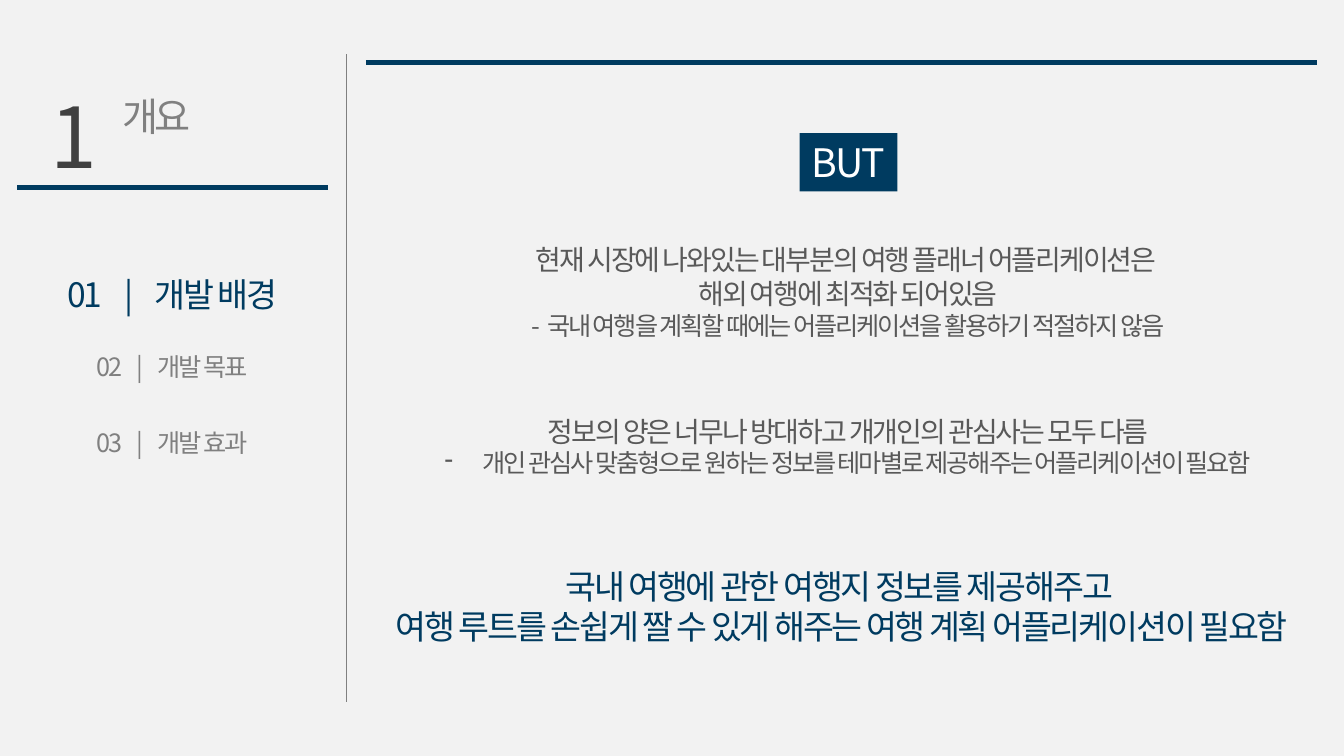
import pptx
import pptx.dml.color
import pptx.enum.shapes
import pptx.enum.text
import pptx.oxml
import pptx.oxml.ns
import pptx.util
from pptx.util import Inches

NAVY, GRAY, DARK, TEXT, WHITE = "003B60", "808080", "404040", "595959", "FFFFFF"
ALIGN = pptx.enum.text.PP_ALIGN
ANCHOR = pptx.enum.text.MSO_ANCHOR
FIT = pptx.enum.text.MSO_AUTO_SIZE


def color(value):
    return pptx.dml.color.RGBColor.from_string(value)


def assign(target, values):
    for name, value in values.items():
        setattr(target, name, value)


def add_xml(parent, tag):
    element = pptx.oxml.parse_xml(f'<a:{tag} {pptx.oxml.ns.nsdecls("a")}/>')
    parent.append(element)
    return element


class SlideBuilder:
    font = "Noto Sans CJK KR"

    def __init__(self, deck):
        self.page = deck.slides.add_slide(deck.slide_layouts[1])
        self.page.background.fill.solid()
        self.page.background.fill.fore_color.rgb = color("F2F2F2")

    def fill_text(self, box, paras, **frame_format):
        """Fill a box; each para is a dict of spans, size, tint and optional format."""
        frame = box.text_frame
        defaults = {"word_wrap": True, "vertical_anchor": ANCHOR.TOP,
                    "auto_size": FIT.SHAPE_TO_FIT_TEXT}
        assign(frame, defaults | frame_format)
        for index, item in enumerate(paras):
            para = frame.add_paragraph() if index else frame.paragraphs[0]
            assign(para, {"alignment": item.get("align", ALIGN.CENTER),
                          "space_before": pptx.util.Pt(item.get("before", 0))})
            self.bullet(para, item.get("bullet"))
            for text, spacing in item["spans"]:
                self.span(para, text, item["size"], item["tint"], spacing)

    def bullet(self, para, mark):
        indent = Inches(0.38) if mark else 0
        properties = para._p.get_or_add_pPr()
        properties.set("marL", str(indent))
        properties.set("indent", str(-indent))
        if mark:
            add_xml(properties, "buChar").set("char", mark)
        else:
            add_xml(properties, "buNone")

    def span(self, para, text, size, tint, spacing):
        span = para.add_run()
        span.text = text
        assign(span.font, {"size": pptx.util.Pt(size), "name": self.font})
        span.font.color.rgb = color(tint)
        properties = span._r.get_or_add_rPr()
        properties.set("spc", str(round(spacing * 100)))
        add_xml(properties, "ea").set("typeface", self.font)

    def placeholder(self, index, place, paras):
        box = self.page.placeholders[index]
        assign(box, dict(zip(("left", "top", "width", "height"), map(Inches, place))))
        self.fill_text(box, paras, auto_size=FIT.NONE)

    def text(self, place, paras, **frame_format):
        box = self.page.shapes.add_textbox(*map(Inches, place))
        self.fill_text(box, paras, **frame_format)

    def badge(self, place, paras):
        box = self.page.shapes.add_shape(
            pptx.enum.shapes.MSO_SHAPE.RECTANGLE, *map(Inches, place))
        box.shadow.inherit = False
        box.fill.solid()
        box.fill.fore_color.rgb = color(NAVY)
        box.line.fill.background()
        self.fill_text(box, paras, vertical_anchor=ANCHOR.MIDDLE, auto_size=FIT.NONE)

    def line(self, ends, tint, width):
        line = self.page.shapes.add_connector(
            pptx.enum.shapes.MSO_CONNECTOR.STRAIGHT, *map(Inches, ends))
        line.line.color.rgb = color(tint)
        line.line.width = pptx.util.Pt(width)
        add_xml(line._element.spPr, "effectLst")


def para(text, size, tint, spacing=-1.5, **layout):
    return {"spans": [(text, spacing)], "size": size, "tint": tint} | layout


def agenda_item(number, topic, size, tint, before):
    """Agenda line whose gaps around the bar grow with the text size."""
    gap = (" ", size * 0.67 - 6)
    spans = [(number, -1.5), gap, ("|", -1.5), gap, (topic, -1.5)]
    return {"spans": spans, "size": size, "tint": tint, "before": before}


def main():
    deck = pptx.Presentation()
    assign(deck, {"slide_width": Inches(13.33), "slide_height": Inches(7.5)})
    slide = SlideBuilder(deck)

    slide.line((3.44, 0.54, 3.44, 6.96), GRAY, 0.5)
    slide.line((0.17, 1.86, 3.25, 1.86), NAVY, 4)
    slide.line((3.63, 0.62, 13.06, 0.62), NAVY, 4)

    slide.text((0.4, 0.62, 0.91, 1.24), [para("1", 60, DARK, -3, align=ALIGN.LEFT)],
               margin_top=Inches(0.22))
    slide.placeholder(0, (0.78, 0.87, 1.54, 0.57), [para("개요", 28, GRAY, -3)])
    slide.placeholder(1, (0.17, 2.67, 3.08, 1.93), [
        agenda_item("01", "개발 배경", 24, NAVY, 0),
        agenda_item("02", "개발 목표", 18, GRAY, 26),
        agenda_item("03", "개발 효과", 18, GRAY, 33),
    ])

    slide.badge((7.93, 1.32, 0.97, 0.58), [para("BUT", 28, WHITE)])
    dashed = {"spans": [("-", -1.5), (" ", 1),
                        ("국내 여행을 계획할 때에는 어플리케이션을 활용하기 적절하지 않음", -1.5)],
              "size": 18, "tint": TEXT}
    slide.text((3.85, 2.36, 9.12, 1.11), [
        para("현재 시장에 나와있는 대부분의 여행 플래너 어플리케이션은 ", 20, TEXT),
        para("해외 여행에 최적화 되어있음", 20, TEXT),
        dashed,
    ])
    slide.text((3.85, 4.06, 9.12, 0.74), [
        para("정보의 양은 너무나 방대하고 개개인의 관심사는 모두 다름", 20, TEXT),
        para("개인 관심사 맞춤형으로 원하는 정보를 테마별로 제공해주는 어플리케이션이 필요함",
             18, TEXT, bullet="-"),
    ])
    slide.text((3.79, 5.56, 9.12, 0.91), [
        para("국내 여행에 관한 여행지 정보를 제공해주고 ", 24, NAVY),
        para("여행 루트를 손쉽게 짤 수 있게 해주는 여행 계획 어플리케이션이 필요함", 24, NAVY),
    ])
    deck.save("out.pptx")


if __name__ == "__main__":
    main()
